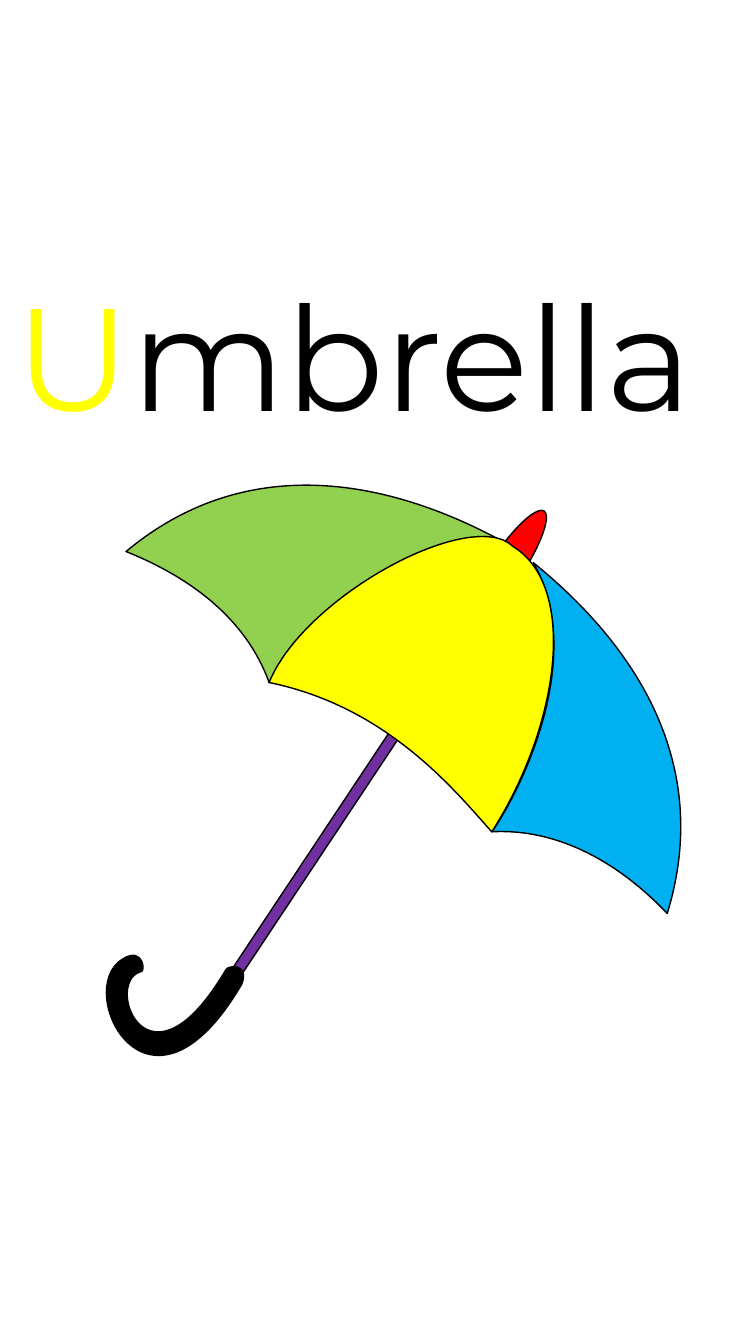
import math
import pptx
import pptx.util
import pptx.dml.color
import pptx.enum.shapes
import pptx.enum.text
import pptx.oxml.ns
from dataclasses import dataclass
from lxml import etree

CELL = pptx.util.Inches(0.1)  # grid unit: 75 columns by 133.3 rows
COLUMNS, ROWS = 75, 133.3
TILT = 33.6  # lean of the umbrella, in degrees
SIDE_TILT = 351.3  # lean of the two right-hand panels
GREEN_TILT = 75.9


@dataclass(frozen=True)
class Theme:
    font: str = "Montserrat"
    word_size: int = 104
    outline_width: float = 1
    ink: str = "000000"
    yellow: str = "FFFF00"
    green: str = "92D050"
    blue: str = "00B0F0"
    red: str = "FF0000"
    purple: str = "7030A0"


THEME = Theme()

# Each outline: a start point, then Bezier curves (control, control, end)
GREEN_PANEL = (12.5, 54.7), [
    ((26.3, 43.2), (41.9, 49.4), (49.7, 53.6)),
    ((39.3, 52.2), (29.5, 63.2), (26.7, 67.7)),
    ((24.1, 60.5), (17.5, 56.7), (12.5, 54.7)),
]
BLUE_PANEL = (66.2, 90.6), [
    ((71.5, 73.3), (59.8, 61.4), (52.9, 55.8)),
    ((58.2, 64.9), (51.9, 78.1), (48.8, 82.5)),
    ((56.4, 82.1), (62.5, 86.7), (66.2, 90.6)),
]
YELLOW_PANEL = (48.8, 82.5), [
    ((55.5, 72), (57.4, 58.2), (50.9, 54.2)),
    ((46.8, 50.2), (30.2, 59.1), (26.7, 67.7)),
    ((38.5, 70.1), (45.2, 78.5), (48.8, 82.5)),
]
HANDLE = (13.9, 96.4), [
    ((10.3, 97.6), (14.7, 109.3), (22.4, 96.2)),
    ((22.5, 95.8), (24.8, 95.4), (24, 97.6)),
    ((14.7, 113.5), (7.1, 98.1), (12.2, 95.1)),
    ((14.3, 93.8), (14.5, 96.6), (13.9, 96.4)),
]


def grid(*cells):
    return [round(cell * CELL) for cell in cells]


def rgb(color):
    return pptx.dml.color.RGBColor.from_string(color)


def place(part, box, tilt):
    part.left, part.top, part.width, part.height = grid(*box)
    part.rotation = tilt


def paint(part, color):
    part.shadow.inherit = False
    part.fill.solid()
    part.fill.fore_color.rgb = rgb(color)
    part.line.color.rgb = rgb(THEME.ink)
    part.line.width = pptx.util.Pt(THEME.outline_width)


def add_straight(slide, preset, box, color):
    part = slide.shapes.add_shape(preset, *grid(*box))
    place(part, box, TILT)
    paint(part, color)
    return part


def untilt(point, box, tilt):
    """Turn a slide point back into the upright frame of a tilted box."""
    left, top, width, height = box
    dx, dy = point[0] - left - width / 2, point[1] - top - height / 2
    cos, sin = math.cos(math.radians(tilt)), math.sin(math.radians(tilt))
    return grid(dx * cos + dy * sin + width / 2, dy * cos - dx * sin + height / 2)


def add_curved(slide, outline, box, tilt, color):
    start, curves = outline
    builder = slide.shapes.build_freeform(*grid(*start))
    builder.add_line_segments([grid(*curve[-1]) for curve in curves])
    part = builder.convert_to_shape()
    place(part, box, tilt)
    paint(part, color)

    # Bend the straight segments into Bezier curves
    qn = pptx.oxml.ns.qn
    path = next(part._element.iter(qn("a:path")))
    for child in list(path):
        path.remove(child)
    path.set("w", str(part.width))
    path.set("h", str(part.height))
    for tag, points in [("a:moveTo", [start]),
                        *(("a:cubicBezTo", curve) for curve in curves),
                        ("a:close", [])]:
        segment = etree.SubElement(path, qn(tag))
        for point in points:
            x, y = untilt(point, box, tilt)
            etree.SubElement(segment, qn("a:pt"), x=str(x), y=str(y))
    return part


def add_word(slide, box, pieces):
    title = slide.shapes.title
    title.left, title.top, title.width, title.height = grid(*box)
    frame = title.text_frame
    frame.word_wrap = True
    frame.auto_size = pptx.enum.text.MSO_AUTO_SIZE.SHAPE_TO_FIT_TEXT
    frame.vertical_anchor = pptx.enum.text.MSO_ANCHOR.TOP
    line = frame.paragraphs[0]
    line.alignment = pptx.enum.text.PP_ALIGN.LEFT
    line.line_spacing = 1.0
    for letters, color in pieces:
        run = line.add_run()
        run.text = letters
        run.font.name = THEME.font
        run.font.size = pptx.util.Pt(THEME.word_size)
        run.font.color.rgb = rgb(color)


def add_umbrella(slide):
    preset = pptx.enum.shapes.MSO_SHAPE
    # Shaft and tip, partly covered by the canopy
    shaft = add_straight(slide, preset.RECTANGLE, (35.3, 53.2, 1.1, 49.2), THEME.purple)
    tip = add_straight(slide, preset.OVAL, (48.4, 49.5, 3.3, 14.2), THEME.red)
    # Canopy panels, then the handle
    curved = [add_curved(slide, *piece) for piece in (
        (GREEN_PANEL, (22.3, 38.5, 18.9, 36.4), GREEN_TILT, THEME.green),
        (BLUE_PANEL, (47.6, 55.4, 18.9, 36.4), SIDE_TILT, THEME.blue),
        (YELLOW_PANEL, (27.1, 54.3, 28.7, 29.2), SIDE_TILT, THEME.yellow),
        (HANDLE, (10.7, 92.4, 11.6, 12.4), TILT, THEME.ink),
    )]
    slide.shapes.add_group_shape([shaft, tip, *curved])


def main():
    deck = pptx.Presentation()
    deck.slide_width, deck.slide_height = grid(COLUMNS, ROWS)
    slide = deck.slides.add_slide(deck.slide_layouts.get_by_name("Title Only"))
    add_word(slide, (0.55, 25.9, 88.7, 18.5),
             [("U", THEME.yellow), ("mbrella", THEME.ink)])
    add_umbrella(slide)
    deck.save("out.pptx")


if __name__ == "__main__":
    main()
